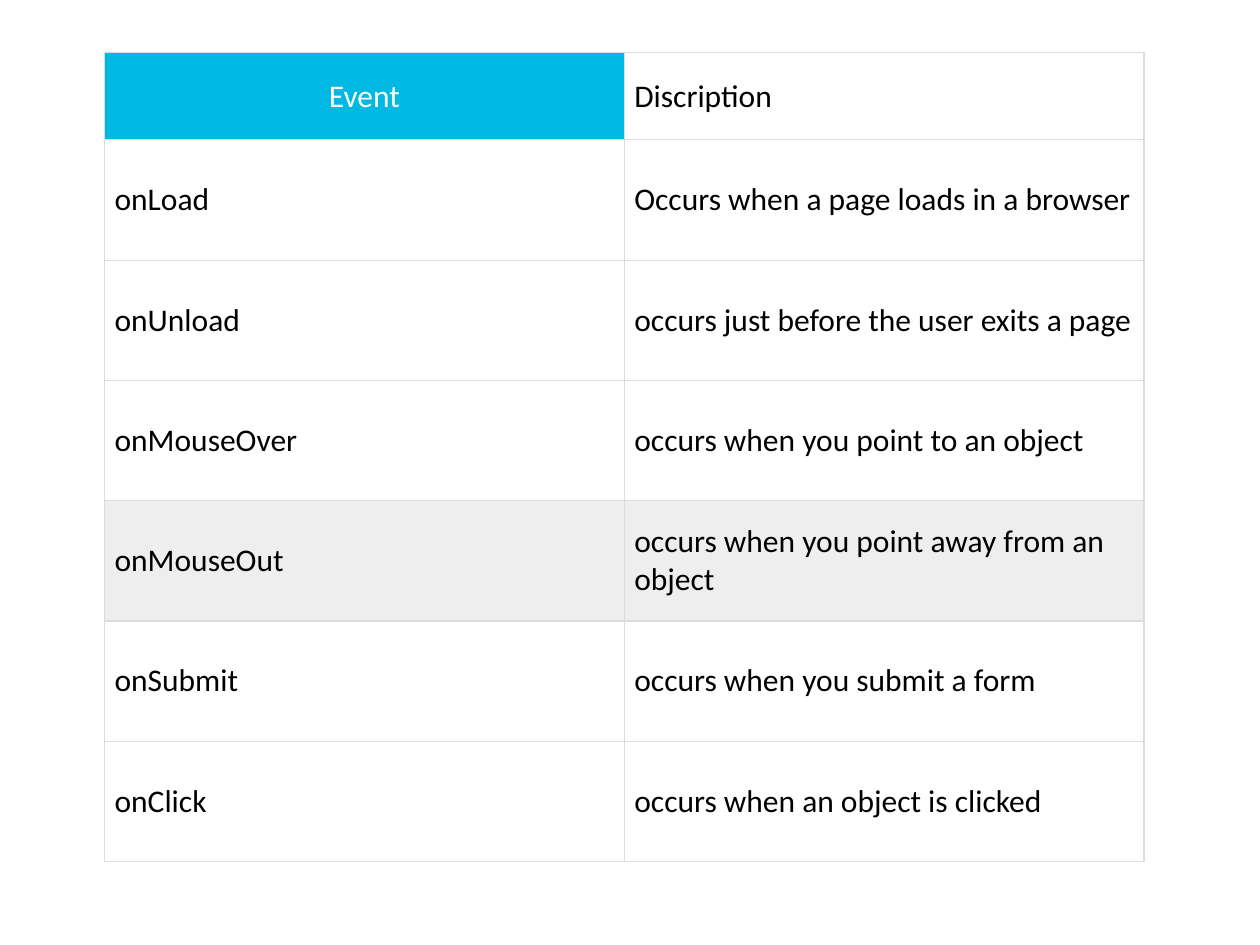
from lxml import etree
from pptx import Presentation
from pptx.dml.color import RGBColor
from pptx.enum.text import MSO_ANCHOR, PP_ALIGN
from pptx.oxml.ns import qn
from pptx.util import Inches, Pt

MIDDLE = MSO_ANCHOR.MIDDLE
LEFT, CENTER = PP_ALIGN.LEFT, PP_ALIGN.CENTER

CYAN = RGBColor(0x00, 0xB8, 0xE4)
WHITE = RGBColor(0xFF, 0xFF, 0xFF)
BLACK = RGBColor(0x00, 0x00, 0x00)
GREY = RGBColor(0xEE, 0xEE, 0xEE)
BORDER = RGBColor(0xDD, 0xDD, 0xDD)

SLIDE_WIDTH, SLIDE_HEIGHT = Inches(10), Inches(7.5)
HEADER_SHARE = 0.69 / 6.42
BLANK_LAYOUT = 6
HIGHLIGHTED_EVENT = "onMouseOut"

EVENTS = [
    ("Event", "Discription"),
    ("onLoad", "Occurs when a page loads in a browser"),
    ("onUnload", "occurs just before the user exits a page"),
    ("onMouseOver", "occurs when you point to an object"),
    ("onMouseOut", "occurs when you point away from an object"),
    ("onSubmit", "occurs when you submit a form"),
    ("onClick", "occurs when an object is clicked"),
]

BODY_STYLE = {"fill": WHITE, "color": BLACK, "align": LEFT, "pad": 0.08}
HIGHLIGHT_STYLE = {**BODY_STYLE, "fill": GREY}
HEADER_STYLE = {"fill": CYAN, "color": WHITE, "align": CENTER, "pad": 0.12}


def add_borders(cell):
    properties = cell._tc.get_or_add_tcPr()
    for side in ("lnL", "lnR", "lnT", "lnB"):
        line = etree.SubElement(properties, qn(f"a:{side}"), w=str(Pt(0.75)))
        solid = etree.SubElement(line, qn("a:solidFill"))
        etree.SubElement(solid, qn("a:srgbClr"), val=str(BORDER))


def fill_cell(cell, wording, style):
    add_borders(cell)
    cell.fill.solid()
    cell.fill.fore_color.rgb = style["fill"]
    cell_format = {
        "vertical_anchor": MIDDLE,
        "margin_left": Inches(0.08),
        "margin_right": Inches(0.08),
        "margin_top": Inches(style["pad"]),
        "margin_bottom": Inches(style["pad"]),
    }
    for attribute, value in cell_format.items():
        setattr(cell, attribute, value)

    paragraph = cell.text_frame.paragraphs[0]
    paragraph.alignment = style["align"]
    run = paragraph.add_run()
    run.text = wording
    for attribute, value in {"name": "Calibri", "size": Pt(18), "bold": False}.items():
        setattr(run.font, attribute, value)
    run.font.color.rgb = style["color"]


def cell_style(row, column, event):
    if row == 0 and column == 0:
        return HEADER_STYLE
    return HIGHLIGHT_STYLE if event == HIGHLIGHTED_EVENT else BODY_STYLE


def add_event_table(slide, left, top, width, height):
    row_count, column_count = len(EVENTS), len(EVENTS[0])
    table = slide.shapes.add_table(
        row_count, column_count, left, top, width, height).table
    table.horz_banding = False
    table.first_row = False

    # Equal columns; a shorter header above equal event rows
    for column in table.columns:
        column.width = int(width / column_count)
    header_height = int(height * HEADER_SHARE)
    for index, row in enumerate(table.rows):
        row.height = (int((height - header_height) / (row_count - 1))
                      if index else header_height)

    # Wording and look of each cell
    for row, entry in enumerate(EVENTS):
        for column, wording in enumerate(entry):
            fill_cell(table.cell(row, column), wording,
                      cell_style(row, column, entry[0]))


presentation = Presentation()
presentation.slide_width = SLIDE_WIDTH
presentation.slide_height = SLIDE_HEIGHT
event_slide = presentation.slides.add_slide(
    presentation.slide_layouts[BLANK_LAYOUT])
add_event_table(event_slide, Inches(0.83), Inches(0.42),
                int(SLIDE_WIDTH * 0.825), Inches(6.42))
presentation.save("out.pptx")
